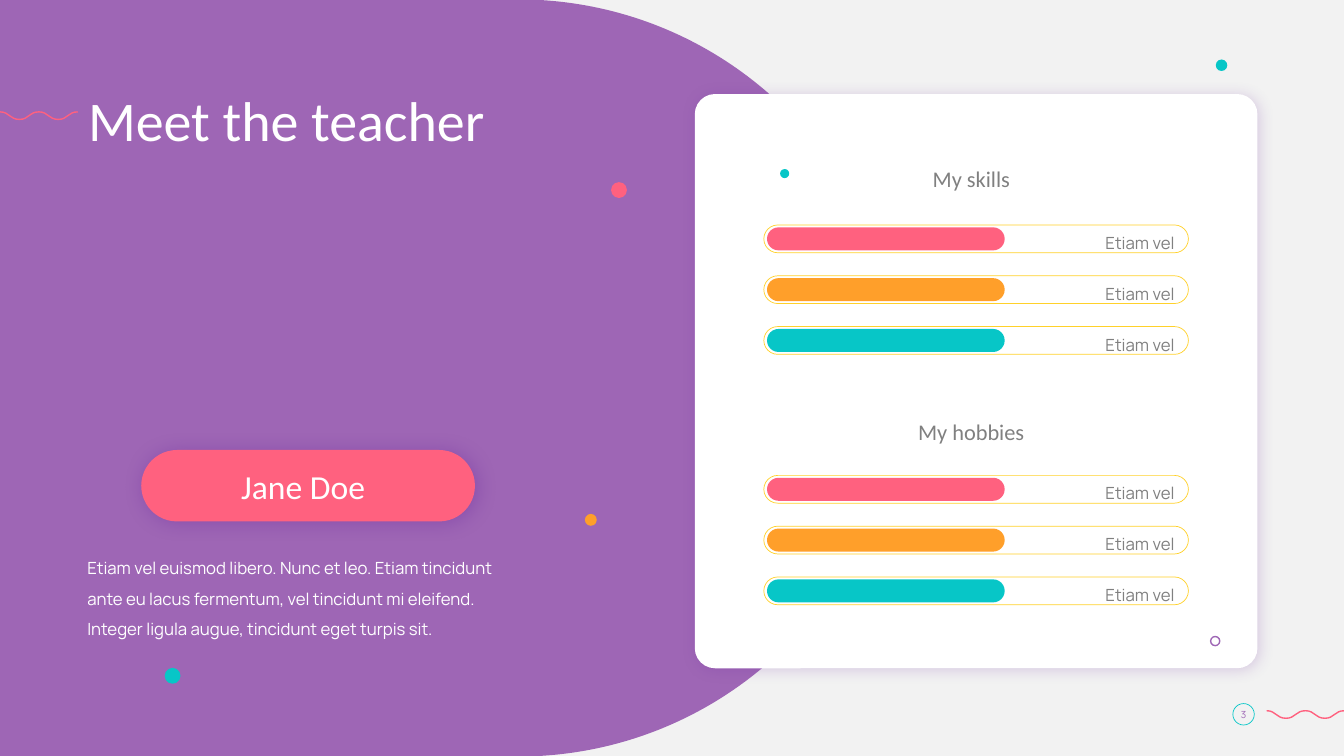
from lxml.etree import SubElement
from pptx import Presentation
from pptx.dml.color import RGBColor
from pptx.enum.shapes import MSO_SHAPE
from pptx.enum.text import MSO_ANCHOR, PP_ALIGN
from pptx.oxml.ns import qn
from pptx.util import Cm, Pt

PURPLE = RGBColor(0x9E, 0x66, 0xB5)
PINK = RGBColor(0xFF, 0x61, 0x7F)
ORANGE = RGBColor(0xFF, 0x9F, 0x2A)
TEAL = RGBColor(0x07, 0xC6, 0xC7)
YELLOW = RGBColor(0xFF, 0xD1, 0x2A)
PALE = RGBColor(0xF2, 0xF2, 0xF2)
GRAY = RGBColor(0x80, 0x80, 0x80)
WHITE = RGBColor(0xFF, 0xFF, 0xFF)
HEADING_FONT, BODY_FONT = "Calibri", "Manrope"


def add_figure(shapes, kind, box, fill=None, line=None, width=0.5, corner=None):
    shape = shapes.add_shape(kind, *map(Cm, box))
    shape.shadow.inherit = False
    if fill is None:
        shape.fill.background()
    else:
        shape.fill.solid()
        shape.fill.fore_color.rgb = fill
    if line is None:
        shape.line.fill.background()
    else:
        shape.line.color.rgb = line
        shape.line.width = Pt(width)
    if corner is not None:
        shape.adjustments[0] = corner
    return shape


def add_text(shapes, box, lines, size, font, color, align=PP_ALIGN.LEFT,
             spacing=1.0, anchor=MSO_ANCHOR.TOP, right=0.25):
    frame = shapes.add_textbox(*map(Cm, box)).text_frame
    frame.word_wrap = True
    frame.vertical_anchor = anchor
    frame.margin_left, frame.margin_right = Cm(0), Cm(right)
    frame.margin_top = frame.margin_bottom = Cm(0.13)
    paragraph = frame.paragraphs[0]
    paragraph.alignment = align
    paragraph.line_spacing = spacing
    for index, line in enumerate(lines):
        if index:
            paragraph.add_line_break()
        run = paragraph.add_run()
        run.text = line
        run.font.size = Pt(size)
        run.font.name = font
        run.font.color.rgb = color


presentation = Presentation()
presentation.slide_width, presentation.slide_height = Cm(33.87), Cm(19.05)
slide = presentation.slides.add_slide(presentation.slide_layouts[6])
shapes = slide.shapes

# Pale background
add_figure(shapes, MSO_SHAPE.RECTANGLE, (2.21, 0, 31.66, 19.05), PALE)

# Curved outlines: points, number of straight segments before the curves, fill
panel_points = [
    (0, 19.05), (0, 0), (13.59, 0),
    (18.62, 0.28), (22.63, 4.42), (22.63, 9.53),
    (22.63, 14.63), (18.62, 18.77), (13.59, 19.05),
]
outlines = [(panel_points, 2, PURPLE)]
for left, top in ((0, 2.82), (31.92, 17.91)):
    wave_points = [(left, top)]
    for half in range(4):
        start_y, end_y = (top, top + 0.19) if half % 2 == 0 else (top + 0.19, top)
        start_x = left + 0.49 * half
        wave_points += [(start_x + 0.24, start_y), (start_x + 0.24, end_y),
                        (start_x + 0.49, end_y)]
    outlines.append((wave_points, 0, None))

for points, straight_count, fill in outlines:
    points = [(Cm(x), Cm(y)) for x, y in points]
    builder = shapes.build_freeform(*points[0])
    builder.add_line_segments(points[1:], close=fill is not None)
    shape = builder.convert_to_shape()
    shape.shadow.inherit = False
    if fill is None:
        shape.fill.background()
        shape.line.color.rgb = PINK
        shape.line.width = Pt(1)
    else:
        shape.fill.solid()
        shape.fill.fore_color.rgb = fill
        shape.line.fill.background()
    # Join every three segments into one Bézier curve
    geometry = shape._element.find(".//" + qn("a:path"))
    segments = geometry.findall(qn("a:lnTo"))[straight_count:]
    for first, second, third in zip(segments[::3], segments[1::3], segments[2::3]):
        first.tag = qn("a:cubicBezTo")
        for segment in (second, third):
            first.append(segment[0])
            geometry.remove(segment)

# Page number
add_figure(shapes, MSO_SHAPE.OVAL, (31.07, 17.73, 0.54, 0.54), line=TEAL)
add_text(shapes, (30.87, 17.73, 0.94, 0.55), ["3"], 7, BODY_FONT, PURPLE,
         PP_ALIGN.CENTER, anchor=MSO_ANCHOR.BOTTOM, right=0)

# Title and teacher
add_text(shapes, (2.22, 2.21, 29.21, 1.8), ["Meet the teacher"], 40, HEADING_FONT,
         WHITE, spacing=0.9)
name_pill = add_figure(shapes, MSO_SHAPE.ROUNDED_RECTANGLE, (3.56, 11.34, 8.41, 1.8),
                       PINK, corner=0.5)
add_text(shapes, (5.02, 11.61, 5.49, 1.27), ["Jane Doe"], 24, HEADING_FONT, WHITE,
         PP_ALIGN.CENTER, anchor=MSO_ANCHOR.MIDDLE)
add_text(shapes, (2.2, 13.68, 12.42, 2.49), [
    "Etiam vel euismod libero. Nunc et leo. Etiam tincidunt ",
    "ante eu lacus fermentum, vel tincidunt mi eleifend. ",
    "Integer ligula augue, tincidunt eget turpis sit.",
], 12, BODY_FONT, WHITE, spacing=1.5)

# White card
card = add_figure(shapes, MSO_SHAPE.ROUNDED_RECTANGLE, (17.51, 2.37, 14.18, 14.47),
                  WHITE, corner=0.036)

# Soft shadows: opacity in percent, blur in points, direction in degrees
for shape, opacity, blur, direction in ((name_pill, 43, 15, 35), (card, 22, 11, 45)):
    effects = shape._element.spPr.find(qn("a:effectLst"))
    shadow = SubElement(effects, qn("a:outerShdw"), blurRad=str(Pt(blur)),
                        dist=str(Pt(2)), dir=str(direction * 60000),
                        algn="ctr", rotWithShape="0")
    shadow_color = SubElement(shadow, qn("a:srgbClr"), val="7030A0")
    SubElement(shadow_color, qn("a:alpha"), val=str(opacity * 1000))

# Skill and hobby sections: heading box, then three bars
sections = [
    ("My skills", (22.98, 3.69, 3.25, 1.17), 5.67),
    ("My hobbies", (22.43, 10.06, 4.34, 1.17), 11.98),
]
for heading, heading_box, first_top in sections:
    add_text(shapes, heading_box, [heading], 16, HEADING_FONT, GRAY,
             PP_ALIGN.CENTER, spacing=1.5)
    bars = shapes.add_group_shape().shapes
    for row, color in enumerate((PINK, ORANGE, TEAL)):
        top = first_top + 1.28 * row
        add_text(bars, (27.56, top - 0.19, 2.29, 0.97), ["Etiam vel"], 12, BODY_FONT,
                 GRAY, PP_ALIGN.RIGHT, spacing=1.5)
        add_figure(bars, MSO_SHAPE.ROUNDED_RECTANGLE, (19.25, top, 10.7, 0.7),
                   line=YELLOW, corner=0.5)
        add_figure(bars, MSO_SHAPE.ROUNDED_RECTANGLE, (19.33, top + 0.06, 5.99, 0.58),
                   color, corner=0.5)

# Scattered dots and ring
dots = [
    (30.64, 1.5, 0.29, TEAL),
    (14.74, 12.95, 0.3, ORANGE),
    (4.15, 16.83, 0.4, TEAL),
    (15.4, 4.59, 0.4, PINK),
    (19.66, 4.26, 0.23, TEAL),
]
for left, top, diameter, color in dots:
    add_figure(shapes, MSO_SHAPE.OVAL, (left, top, diameter, diameter), color)
add_figure(shapes, MSO_SHAPE.OVAL, (30.51, 16.04, 0.23, 0.23), line=PURPLE, width=1)

presentation.save("out.pptx")
